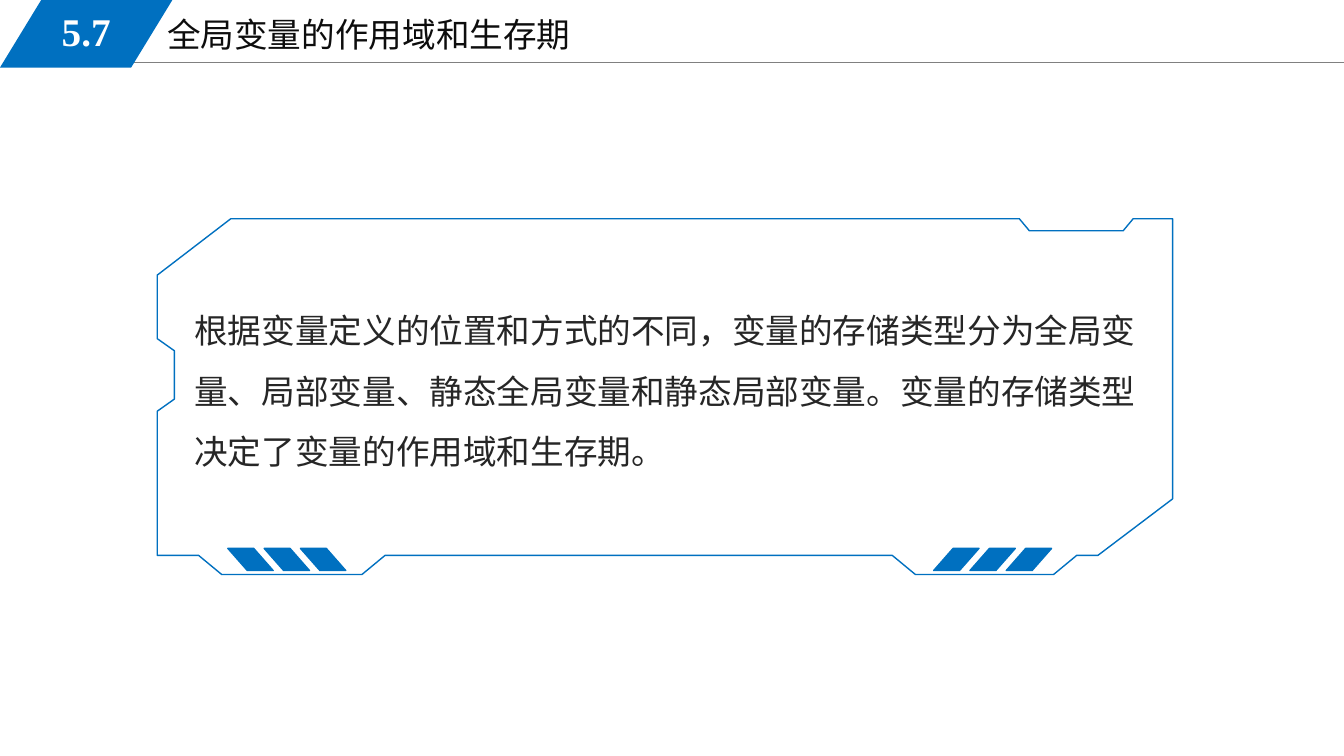
from lxml.etree import SubElement
from pptx import Presentation
from pptx.dml.color import RGBColor
from pptx.enum.shapes import MSO_CONNECTOR, MSO_SHAPE
from pptx.enum.text import MSO_ANCHOR, MSO_AUTO_SIZE, PP_ALIGN
from pptx.oxml.ns import qn
from pptx.util import Inches, Pt

COLORS = {"blue": "0070C0", "rule": "808080", "title": "0D0D0D", "body": "262626", "white": "FFFFFF"}
FONT = "Times New Roman"
FRAME_POINTS = [
    (9.08, 5.7), (10.45, 5.7), (10.68, 5.51), (10.89, 5.51), (11.63, 4.95), (11.63, 2.17),
    (11.24, 2.17), (11.14, 2.29), (10.21, 2.29), (10.11, 2.17), (2.29, 2.17), (1.56, 2.73),
    (1.56, 3.36), (1.73, 3.48), (1.73, 3.96), (1.56, 4.08), (1.56, 5.51), (1.97, 5.51),
    (2.2, 5.7), (3.59, 5.7), (3.82, 5.51), (8.85, 5.51),
]
STRIPE_PITCH = 0.36


def color(name):
    return RGBColor.from_string(COLORS[name])


def apply_format(target, values):
    for name, value in values.items():
        setattr(target, name, value)


def set_line(line, color_name, width):
    line.color.rgb = color(color_name)
    line.width = Pt(width)


def add_rule(slide, left, right, top):
    rule = slide.shapes.add_connector(
        MSO_CONNECTOR.STRAIGHT, Inches(left), Inches(top), Inches(right), Inches(top))
    set_line(rule.line, "rule", 0.75)
    SubElement(rule._element.spPr, qn("a:effectLst"))


def add_text(slide, box, text, color_name, font_format, frame_format=None, paragraph_format=None):
    frame = slide.shapes.add_textbox(*map(Inches, box)).text_frame
    apply_format(frame, {"word_wrap": True, "auto_size": MSO_AUTO_SIZE.SHAPE_TO_FIT_TEXT})
    apply_format(frame, frame_format or {})
    paragraph = frame.paragraphs[0]
    apply_format(paragraph, paragraph_format or {})
    run = paragraph.add_run()
    run.text = text
    apply_format(run.font, {"name": FONT, **font_format})
    run.font.color.rgb = color(color_name)


def add_parallelogram(slide, box, slant, outlined=False, mirrored=False):
    shape = slide.shapes.add_shape(MSO_SHAPE.PARALLELOGRAM, *map(Inches, box))
    shape.shadow.inherit = False
    shape.adjustments[0] = slant
    shape.fill.solid()
    shape.fill.fore_color.rgb = color("blue")
    if outlined:
        set_line(shape.line, "blue", 1)
    else:
        shape.line.fill.background()
    if mirrored:
        shape._element.spPr.xfrm.set("flipH", "1")


def add_frame(slide, points):
    corners = [(Inches(x), Inches(y)) for x, y in points]
    builder = slide.shapes.build_freeform(*corners[0])
    builder.add_line_segments(corners[1:], close=True)
    frame = builder.convert_to_shape()
    frame.shadow.inherit = False
    frame.fill.background()
    set_line(frame.line, "blue", 1)


def add_stripes(slide, left, mirrored):
    for index in range(3):
        box = (left + index * STRIPE_PITCH, 5.44, 0.45, 0.22)
        add_parallelogram(slide, box, 0.88, outlined=True, mirrored=mirrored)


def main():
    presentation = Presentation()
    presentation.slide_width = Inches(13.33)
    presentation.slide_height = Inches(7.5)
    slide = presentation.slides.add_slide(presentation.slide_layouts[6])

    add_rule(slide, 1.13, 13.33, 0.62)
    add_text(slide, (1.56, 0.09, 5.67, 0.51), "全局变量的作用域和生存期", "title", {"size": Pt(24)})
    add_parallelogram(slide, (0, 0, 1.71, 0.67), 0.61)
    add_text(slide, (0.25, 0.02, 1.21, 0.58), "5.7", "white", {"size": Pt(28), "bold": True},
             {"vertical_anchor": MSO_ANCHOR.MIDDLE}, {"alignment": PP_ALIGN.CENTER})
    add_text(slide, (1.83, 2.83, 9.67, 1.92),
             "根据变量定义的位置和方式的不同，变量的存储类型分为全局变量、局部变量、静态全局变量和静态局部变量。"
             "变量的存储类型决定了变量的作用域和生存期。",
             "body", {"size": Pt(24)}, paragraph_format={"line_spacing": 1.5})
    add_frame(slide, FRAME_POINTS)
    add_stripes(slide, 9.26, mirrored=False)
    add_stripes(slide, 2.26, mirrored=True)

    presentation.save("out.pptx")


if __name__ == "__main__":
    main()
